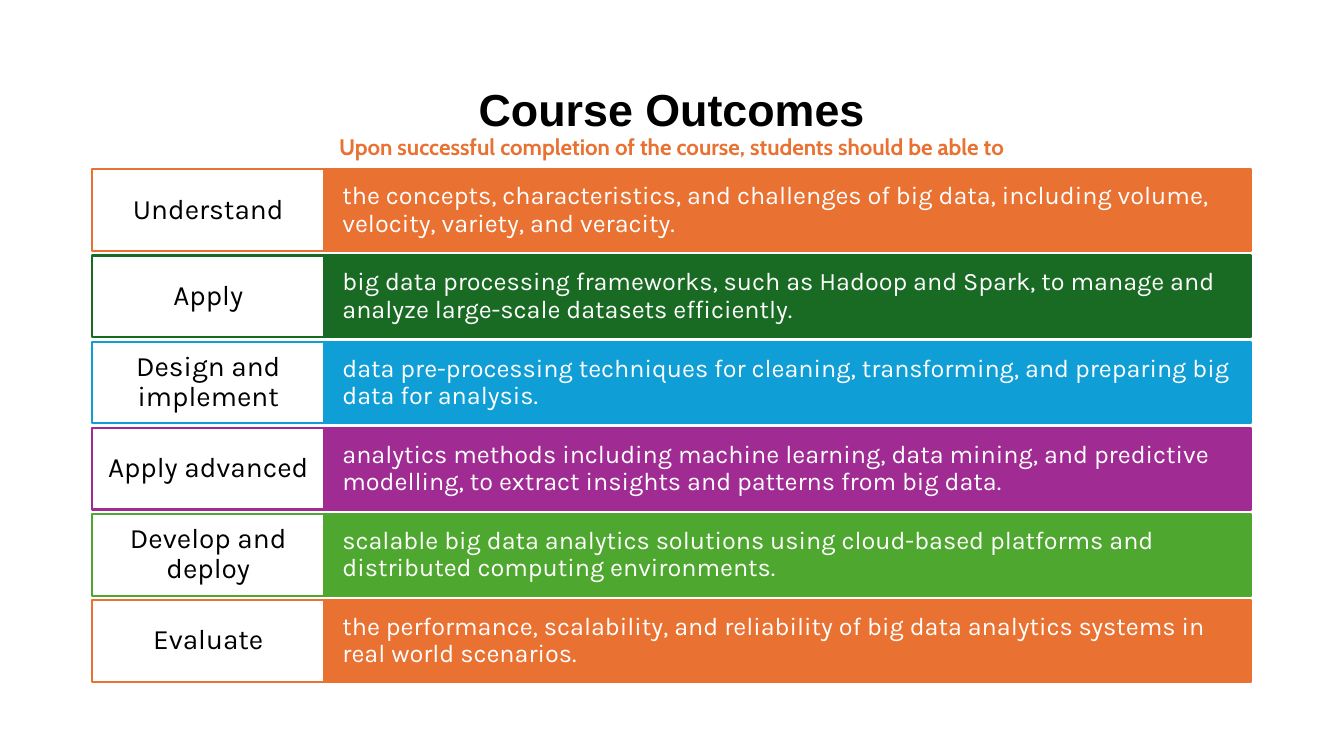
from pptx import Presentation
from pptx import util as u
from pptx.dml.color import RGBColor
from pptx.enum import shapes, text

THEME = {
    "black": "000000", "white": "FFFFFF", "orange": "E97132", "green": "196B24",
    "blue": "0F9ED5", "purple": "A02B93", "lime": "4EA72E",
    "title": 32, "subtitle": 16, "verb": 20, "outcome": 18,
}


def format_run(r, font, size, color, bold=False):
    r.font.name = font
    r.font.size = u.Pt(THEME[size])
    r.font.bold = bold
    r.font.color.rgb = RGBColor.from_string(THEME[color])


def add_box(s, left, top, width, fill, line, content, size, color, align, margins):
    sp = s.shapes.add_shape(shapes.MSO_SHAPE.RECTANGLE, u.Cm(left), u.Cm(top), u.Cm(width), u.Cm(2.06))
    sp.shadow.inherit = False
    sp.fill.solid()
    sp.fill.fore_color.rgb = RGBColor.from_string(THEME[fill])
    sp.line.color.rgb = RGBColor.from_string(THEME[line])
    sp.line.width = u.Pt(1.5)
    tf = sp.text_frame
    tf.word_wrap = True
    tf.vertical_anchor = text.MSO_ANCHOR.MIDDLE
    tf.margin_left = tf.margin_right = u.Cm(margins[0])
    tf.margin_top = tf.margin_bottom = u.Cm(margins[1])
    tf.text = content
    p = tf.paragraphs[0]
    p.alignment = align
    p.line_spacing = 0.9
    format_run(p.runs[0], "Karla", size, color)


prs = Presentation()
prs.slide_width, prs.slide_height = u.Cm(33.87), u.Cm(19.05)
s = prs.slides.add_slide(prs.slide_layouts[5])

title = s.shapes.title
title.left, title.top, title.width, title.height = u.Cm(2.33), u.Cm(1.55), u.Cm(29.2), u.Cm(3.15)
tf = title.text_frame
tf.word_wrap = True
tf.auto_size = text.MSO_AUTO_SIZE.NONE
tf.vertical_anchor = text.MSO_ANCHOR.MIDDLE
tf.text = "Course Outcomes\vUpon successful completion of the course, students should be able to"
p = tf.paragraphs[0]
p.alignment = text.PP_ALIGN.CENTER
p.line_spacing = 0.9
format_run(p.runs[0], "Arial", "title", "black", True)
format_run(p.runs[1], "Cabin", "subtitle", "orange", True)

outcomes = [
    ("Understand", "orange", "the concepts, characteristics, and challenges of big data, including volume, velocity, variety, and veracity."),
    ("Apply", "green", "big data processing frameworks, such as Hadoop and Spark, to manage and analyze large-scale datasets efficiently."),
    ("Design and implement", "blue", "data pre-processing techniques for cleaning, transforming, and preparing big data for analysis."),
    ("Apply advanced", "purple", "analytics methods including machine learning, data mining, and predictive modelling, to extract insights and patterns from big data."),
    ("Develop and deploy", "lime", "scalable big data analytics solutions using cloud-based platforms and distributed computing environments."),
    ("Evaluate", "orange", "the performance, scalability, and reliability of big data analytics systems in real world scenarios."),
]
for i, (verb, color, outcome) in enumerate(outcomes):
    top = 4.27 + i * 2.17
    add_box(s, 8.17, top, 23.36, color, color, outcome, "outcome", "white", text.PP_ALIGN.LEFT, (0.46, 0.5))
    add_box(s, 2.33, top, 5.84, "white", color, verb, "verb", "black", text.PP_ALIGN.CENTER, (0.3, 0.2))

prs.save("out.pptx")
